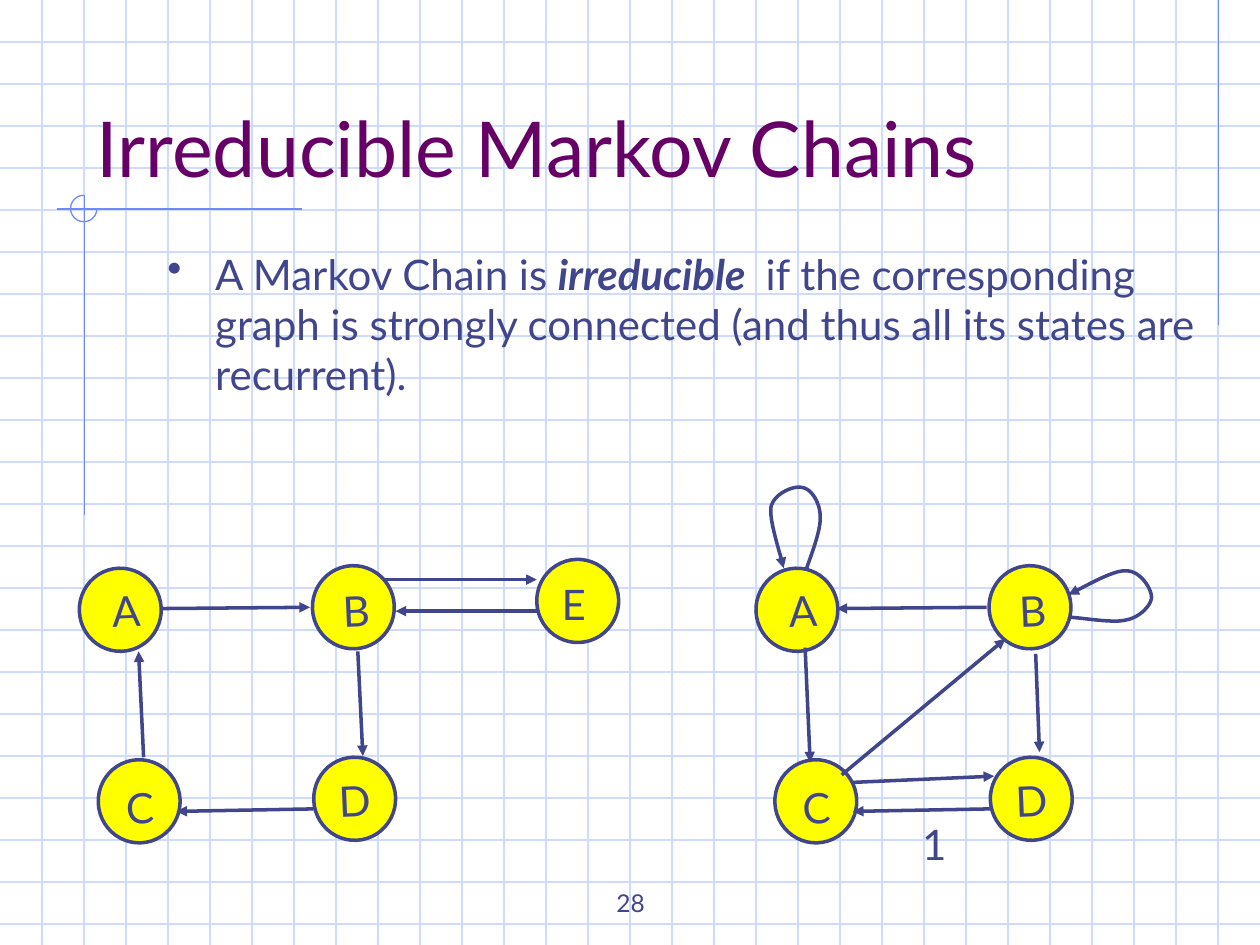
import pptx
import pptx.util
from pptx.dml.color import RGBColor
from pptx.enum.shapes import MSO_CONNECTOR, MSO_SHAPE
from pptx.enum.text import MSO_ANCHOR, MSO_AUTO_SIZE, PP_ALIGN
from pptx.oxml.ns import qn
from pptx.util import Inches
from lxml import etree

INK = RGBColor(0x40, 0x45, 0x8C)
PURPLE = RGBColor(0x66, 0x00, 0x66)
YELLOW = RGBColor(0xFF, 0xFF, 0x00)
GRID = RGBColor(0xCF, 0xDB, 0xFD)
ORNAMENT = RGBColor(0x6F, 0x89, 0xF7)
FONT = "Lato"
TILT = -2.5
RIGHT_GRAPH = 5.37

# name, circle (left, top), label (left, top)
SQUARE_STATES = [
    ("A", (0.63, 4.51), (0.79, 4.59)),
    ("B", (2.48, 4.49), (2.62, 4.59)),
    ("C", (0.78, 6.03), (0.9, 6.16)),
    ("D", (2.49, 6.01), (2.59, 6.1)),
]
LEFT_EDGES = [
    ((2.49, 6.42), (1.4, 6.44)),
    ((1.14, 6.01), (1.1, 5.17)),
    ((2.84, 5.17), (2.88, 6)),
    ((1.27, 4.83), (2.46, 4.82)),
    ((3.04, 4.6), (4.26, 4.6)),
    ((4.26, 4.85), (3.14, 4.85)),
]
RIGHT_EDGES = [
    ((6.68, 6.15), (7.98, 5.07)),
    ((7.86, 6.42), (6.77, 6.44)),
    ((6.76, 6.21), (7.89, 6.16)),
    ((8.22, 5.19), (8.25, 5.97)),
    ((7.83, 4.82), (6.64, 4.83)),
    ((6.39, 5.14), (6.43, 6.05)),
]
# start point, then three control points per Bézier segment
LOOP_A = [(6.4, 4.52), (6.42, 4.45), (6.52, 4.21), (6.51, 4.1),
          (6.51, 3.99), (6.44, 3.88), (6.37, 3.87),
          (6.31, 3.85), (6.15, 3.91), (6.12, 4.02),
          (6.1, 4.13), (6.2, 4.41), (6.22, 4.51)]
LOOP_B = [(8.5, 4.9), (8.57, 4.9), (8.84, 4.95), (8.94, 4.92),
          (9.05, 4.9), (9.14, 4.8), (9.14, 4.74),
          (9.14, 4.67), (9.05, 4.53), (8.94, 4.53),
          (8.83, 4.52), (8.57, 4.68), (8.48, 4.72)]


def style_line(shape, color, width):
    shape.line.color.rgb = color
    shape.line.width = pptx.util.Pt(width)


def add_arrowhead(shape):
    etree.SubElement(shape.line._get_or_add_ln(), qn("a:tailEnd"), type="triangle")


def add_line(slide, start, end, color, width):
    line = slide.shapes.add_connector(
        MSO_CONNECTOR.STRAIGHT, *map(Inches, (*start, *end)))
    style_line(line, color, width)
    etree.SubElement(line._element.spPr, qn("a:effectLst"))
    return line


def add_edge(slide, start, end):
    add_arrowhead(add_line(slide, start, end, INK, 2))


def bezier_points(controls, steps=12):
    """Points along a chain of cubic Bézier segments, without the start."""
    for i in range(0, len(controls) - 1, 3):
        segment = controls[i:i + 4]
        for step in range(1, steps + 1):
            t = step / steps
            weights = ((1 - t) ** 3, 3 * t * (1 - t) ** 2, 3 * t * t * (1 - t), t ** 3)
            yield tuple(Inches(sum(w * p[axis] for w, p in zip(weights, segment)))
                        for axis in (0, 1))


def add_self_loop(slide, controls):
    builder = slide.shapes.build_freeform(*map(Inches, controls[0]))
    builder.add_line_segments(bezier_points(controls), close=False)
    loop = builder.convert_to_shape()
    loop.shadow.inherit = False
    loop.fill.background()
    style_line(loop, INK, 2)
    add_arrowhead(loop)


def add_text(slide, box, text, size, color=INK, anchor=MSO_ANCHOR.TOP, wrap=True):
    holder = slide.shapes.add_textbox(*map(Inches, box))
    frame = holder.text_frame
    frame.word_wrap = wrap
    frame.vertical_anchor = anchor
    if not wrap:
        frame.auto_size = MSO_AUTO_SIZE.SHAPE_TO_FIT_TEXT
    frame.text = text
    style_font(frame.paragraphs[0].font, size, color)
    return holder


def style_font(font, size, color):
    font.name = FONT
    font.size = pptx.util.Pt(size)
    font.color.rgb = color


def add_state(slide, name, circle_at, label_at, label_tilt=TILT):
    circle = slide.shapes.add_shape(
        MSO_SHAPE.OVAL, *map(Inches, (*circle_at, 0.65, 0.66)))
    circle.shadow.inherit = False
    circle.rotation = TILT
    circle.fill.solid()
    circle.fill.fore_color.rgb = YELLOW
    style_line(circle, INK, 2)
    width = 0.44 if name == "D" else 0.41
    label = add_text(slide, (*label_at, width, 0.5), name, 24, wrap=False)
    label.rotation = label_tilt


def add_background(slide):
    for row in range(1, 23):
        add_line(slide, (0, row / 3), (10, row / 3), GRID, 0.75)
    for column in range(1, 30):
        add_line(slide, (column / 3, 0), (column / 3, 7.5), GRID, 0.75)
    for start, end in [((9.67, 0), (9.67, 2.58)),
                       ((0.45, 1.66), (2.4, 1.66)),
                       ((0.67, 1.55), (0.67, 4.09))]:
        add_line(slide, start, end, ORNAMENT, 0.75)
    ring = slide.shapes.add_shape(
        MSO_SHAPE.ARC, *map(Inches, (0.56, 1.55, 0.21, 0.21)))
    ring.adjustments[0] = 0
    ring.adjustments[1] = 162  # 270 degrees
    ring.shadow.inherit = False
    ring.fill.background()
    style_line(ring, ORNAMENT, 0.75)


def add_definition(slide):
    definition = add_text(slide, (1.23, 1.92, 8.36, 1.3), "", 24)
    paragraph = definition.text_frame.paragraphs[0]
    properties = paragraph._p.get_or_add_pPr()
    properties.set("marL", str(Inches(0.38)))
    properties.set("indent", str(-Inches(0.38)))
    bullet = etree.Element(qn("a:buChar"), char="•")
    properties.insert(0, bullet)
    for text, emphasised in [
            ("A Markov Chain is ", False),
            ("irreducible ", True),
            (" if the corresponding graph is strongly connected "
             "(and thus all its states are recurrent).", False)]:
        run = paragraph.add_run()
        run.text = text
        style_font(run.font, 24, INK)
        run.font.bold = run.font.italic = emphasised


def add_square_states(slide, offset):
    for name, (x, y), (label_x, label_y) in SQUARE_STATES:
        add_state(slide, name, (x + offset, y), (label_x + offset, label_y))


def main():
    presentation = pptx.Presentation()
    presentation.slide_width = Inches(10)
    presentation.slide_height = Inches(7.5)
    slide = presentation.slides.add_slide(presentation.slide_layouts[6])

    add_background(slide)
    page_number = add_text(slide, (3.42, 6.83, 3.17, 0.5), "28", 14,
                           anchor=MSO_ANCHOR.BOTTOM)
    page_number.text_frame.paragraphs[0].alignment = PP_ALIGN.CENTER
    add_text(slide, (0.67, 0.33, 8.5, 1.25), "Irreducible Markov Chains", 44,
             PURPLE, MSO_ANCHOR.BOTTOM)
    add_definition(slide)

    add_square_states(slide, 0)
    add_state(slide, "E", (4.26, 4.44), (4.36, 4.54), label_tilt=0)
    add_square_states(slide, RIGHT_GRAPH)
    for start, end in LEFT_EDGES + RIGHT_EDGES:
        add_edge(slide, start, end)
    for loop in (LOOP_A, LOOP_B):
        add_self_loop(slide, loop)
    add_text(slide, (7.22, 6.45, 0.39, 0.5), "1", 24, wrap=False)

    presentation.save("out.pptx")


if __name__ == "__main__":
    main()
